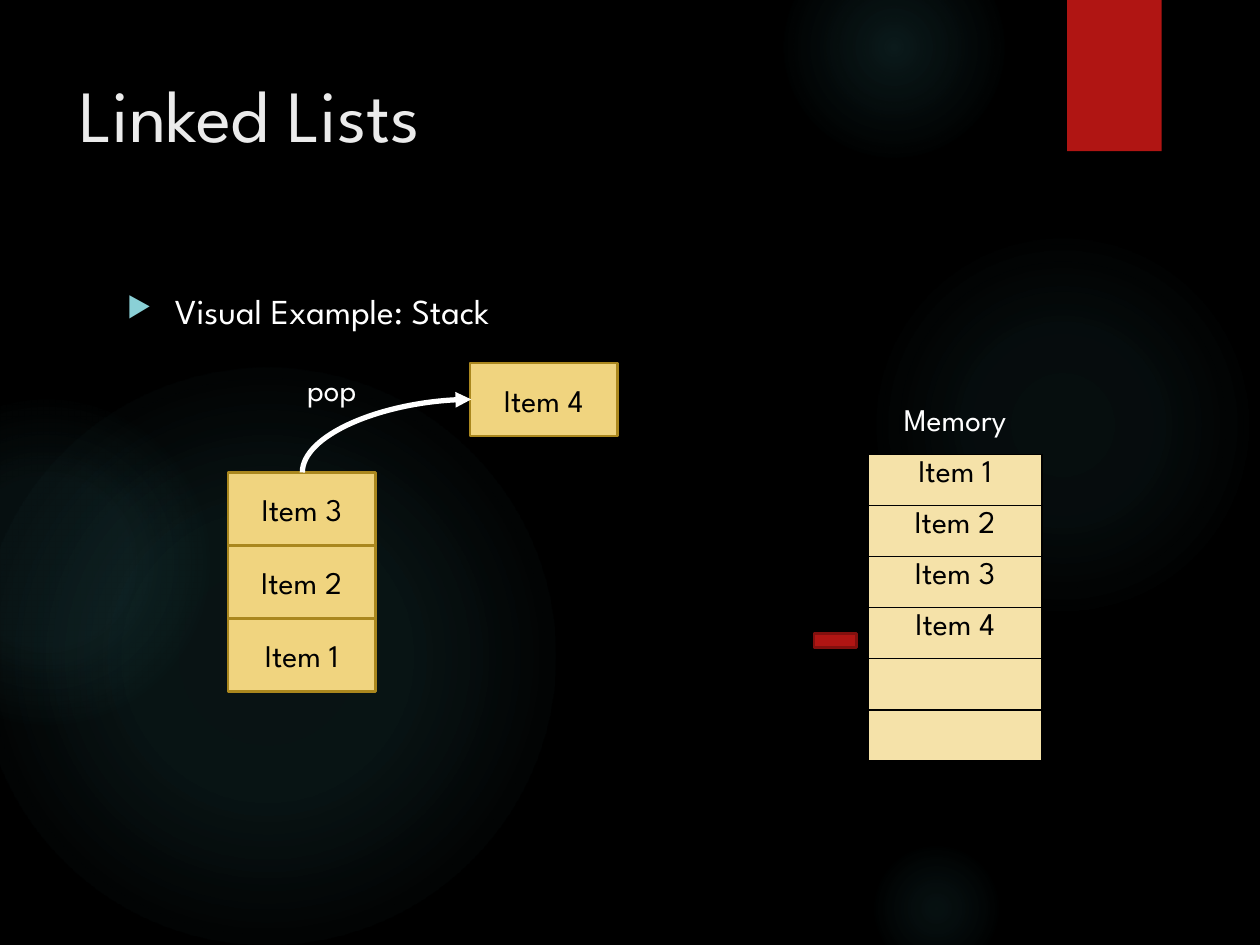
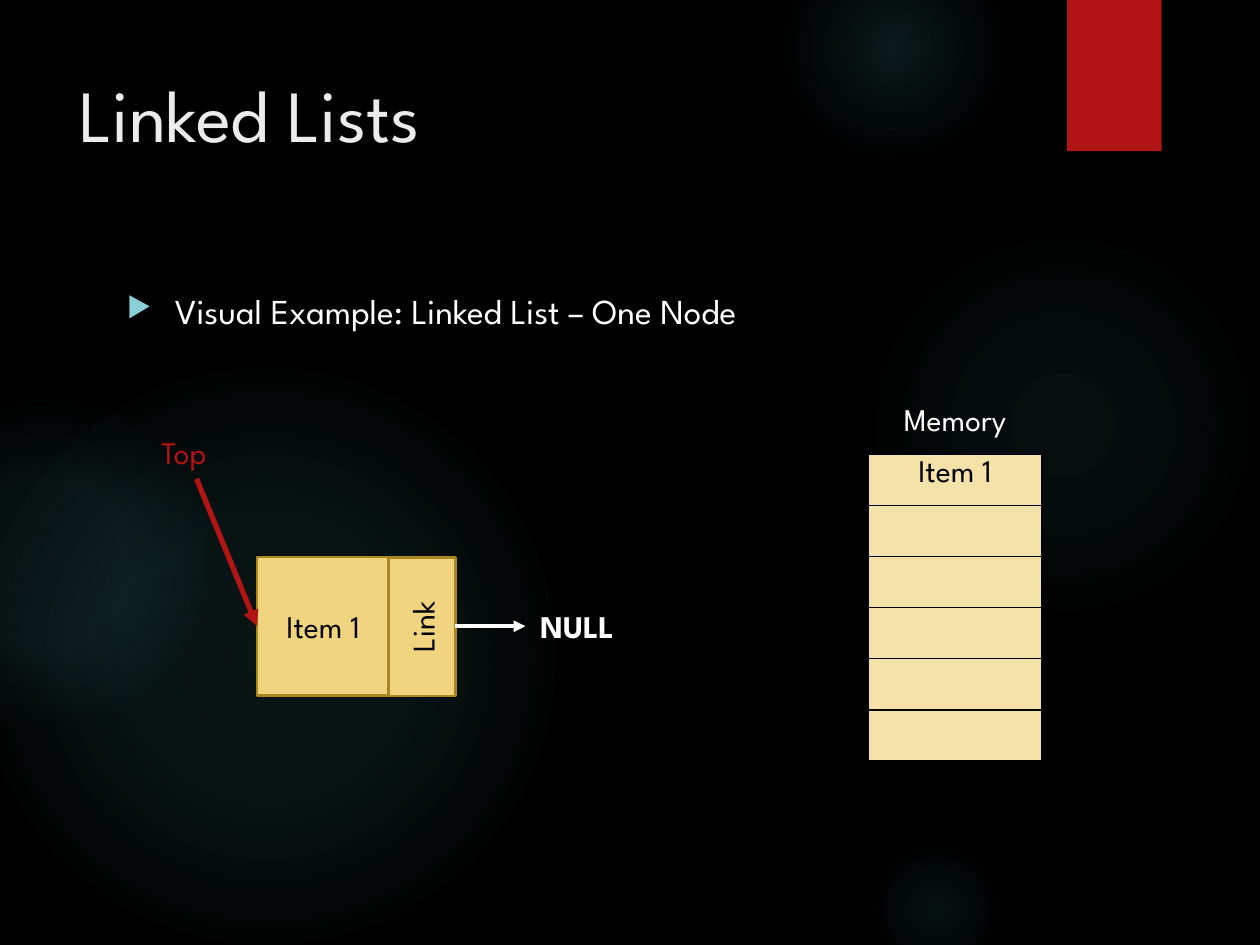
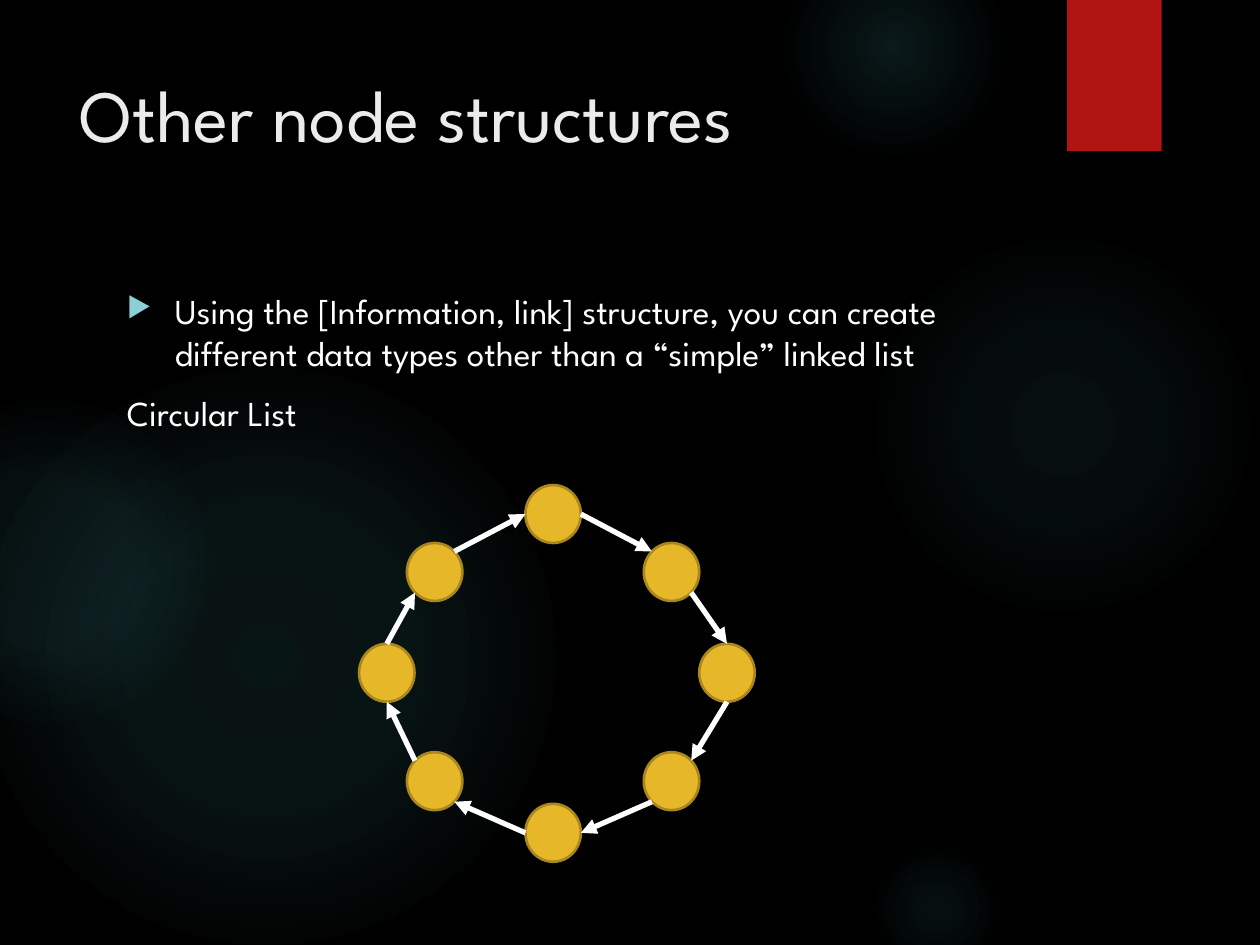
from lxml import etree
from pptx import Presentation
from pptx.dml.color import RGBColor
from pptx.enum.shapes import MSO_CONNECTOR as CXN, MSO_SHAPE as SHAPE
from pptx.enum.text import MSO_ANCHOR as ANCHOR, MSO_AUTO_SIZE as FIT, PP_ALIGN as ALIGN
from pptx.oxml import parse_xml
from pptx.oxml.ns import nsdecls, qn
from pptx.util import Inches, Pt

FONT = "League Spartan"
BLACK, WHITE, TITLE = "000000", "FFFFFF", "EBEBEB"
RED, DARK_RED = "B01513", "82100E"
GOLD, PALE, CREAM, BROWN = "E6B729", "F0D47F", "F5E2A9", "AA871E"
GLOW, BULLET = "50B9C1", "8AD0D6"
NO_STYLE = "{2D5ABB26-0587-4C30-8999-92F81FD0307C}"

GLOWS = [
    (6.89, 1.83, 3.08, [(0, 7), (36, 6), (69, 0)]),
    (6.22, -0.5, 1.75, [(0, 14), (36, 7), (73, 0)]),
    (6.89, 6.67, 1.08, [(0, 9), (36, 5), (66, 0)]),
    (-0.17, 2.92, 4.58, [(0, 11), (36, 10), (75, 0)]),
    (-0.92, 3.17, 2.58, [(0, 8), (36, 8), (72, 0)]),
]
STACK_SLIDE = ("Linked Lists", ["Visual Example: Stack"])
NODE_SLIDE = ("Linked Lists", ["Visual Example: Linked List – One Node"])
RING_SLIDE = ("Other node structures", [
    "Using the [Information, link] structure, you can create different data types "
    "other than a “simple” linked list",
    "Circular List",
])
STACK = ["Item 3", "Item 2", "Item 1"]
STACK_MEMORY = ["Item 1", "Item 2", "Item 3", "Item 4"]
NODE_MEMORY = ["Item 1"]
MEMORY_ROWS = 6

DIAG = 0.71
COMPASS = {
    "N": (0, -1), "NE": (DIAG, -DIAG), "E": (1, 0), "SE": (DIAG, DIAG),
    "S": (0, 1), "SW": (-DIAG, DIAG), "W": (-1, 0), "NW": (-DIAG, -DIAG),
}
NODE_W, NODE_H = 0.44, 0.46
RING = [(4.17, 3.85), (5.11, 4.31), (5.55, 5.11), (5.11, 5.97),
        (4.17, 6.38), (3.23, 5.97), (2.85, 5.11), (3.23, 4.31)]
RING_LINKS = [("E", "NW"), ("SE", "N"), ("S", "NE"), ("SW", "E"),
              ("W", "SE"), ("NW", "S"), ("N", "SW"), ("NE", "W")]


def rgb(color):
    return RGBColor.from_string(color)


def style(p, size, color, bold=None, align=None):
    p.alignment = align
    for r in p.runs:
        r.font.name, r.font.size, r.font.bold = FONT, Pt(size), bold
        r.font.color.rgb = rgb(color)


def add_box(shapes, kind, x, y, w, h, fill, line=None, text=""):
    sp = shapes.add_shape(kind, *map(Inches, (x, y, w, h)))
    sp.shadow.inherit = False
    sp.fill.solid()
    sp.fill.fore_color.rgb = rgb(fill)
    if line:
        sp.line.color.rgb = rgb(line)
        sp.line.width = Pt(1.5)
    else:
        sp.line.fill.background()
    if text:
        tf = sp.text_frame
        tf.text = text
        tf.vertical_anchor = ANCHOR.MIDDLE
        style(tf.paragraphs[0], 18, BLACK, align=ALIGN.CENTER)
    return sp


def add_item(shapes, x, y, w, h, text):
    return add_box(shapes, SHAPE.RECTANGLE, x, y, w, h, PALE, BROWN, text)


def add_label(s, x, y, w, text, color=WHITE, bold=None):
    tf = s.shapes.add_textbox(*map(Inches, (x, y, w, 0.4))).text_frame
    tf.word_wrap = True
    tf.text = text
    style(tf.paragraphs[0], 18, color, bold)


def add_arrow(s, start, end, color=WHITE, width=3, kind=CXN.STRAIGHT):
    cxn = s.shapes.add_connector(kind, *map(Inches, (*start, *end)))
    cxn.line.color.rgb = rgb(color)
    cxn.line.width = Pt(width)
    spPr = cxn._element.spPr
    etree.SubElement(spPr.find(qn("a:ln")), qn("a:tailEnd"), type="triangle")
    etree.SubElement(spPr, qn("a:effectLst"))
    return cxn


def add_glow(shapes, x, y, size, stops):
    sp = add_box(shapes, SHAPE.OVAL, x, y, size, size, GLOW)
    gs = "".join(
        f'<a:gs pos="{pos * 1000}"><a:srgbClr val="{GLOW}">'
        f'<a:alpha val="{alpha * 1000}"/></a:srgbClr></a:gs>' for pos, alpha in stops)
    grad = parse_xml(
        f'<a:gradFill {nsdecls("a")} rotWithShape="1"><a:gsLst>{gs}</a:gsLst>'
        '<a:path path="circle"><a:fillToRect l="50000" t="50000" r="50000" b="50000"/>'
        '</a:path></a:gradFill>')
    spPr = sp._element.spPr
    spPr.replace(spPr.find(qn("a:solidFill")), grad)
    return sp


def decorate(layout, s):
    decor = [add_glow(s.shapes, *glow) for glow in GLOWS]
    decor.append(add_box(s.shapes, SHAPE.RECTANGLE, 8.47, 0, 0.75, 1.2, RED))
    for i, sp in enumerate(decor):
        sp._element.nvSpPr.cNvPr.set("id", str(100 + i))
        layout.shapes._spTree.insert(2 + i, sp._element)


def add_bullet(p):
    pPr = p._p.get_or_add_pPr()
    pPr.set("marL", str(Inches(0.38)))
    pPr.set("indent", str(-Inches(0.38)))
    color = etree.SubElement(pPr, qn("a:buClr"))
    etree.SubElement(color, qn("a:srgbClr"), val=BULLET)
    etree.SubElement(pPr, qn("a:buSzPct"), val="80000")
    etree.SubElement(pPr, qn("a:buChar"), char="▶")


def fill_slide(s, title, lines):
    sp = s.shapes.title
    sp.left, sp.top, sp.width, sp.height = map(Inches, (0.53, 0.5, 7.72, 1.53))
    tf = sp.text_frame
    tf.text = title
    tf.vertical_anchor, tf.auto_size = ANCHOR.TOP, FIT.NONE
    style(tf.paragraphs[0], 42, TITLE, align=ALIGN.LEFT)

    tf = s.shapes.add_textbox(*map(Inches, (0.91, 2.25, 7.34, 4.59))).text_frame
    tf.word_wrap = True
    tf.text = "\n".join(lines)
    for p in tf.paragraphs:
        style(p, 20, WHITE)
        p.space_before = Pt(10)
    add_bullet(tf.paragraphs[0])


def add_borders(cell):
    tcPr = cell._tc.get_or_add_tcPr()
    for side in "LRTB":
        tcPr.append(parse_xml(
            f'<a:ln{side} {nsdecls("a")} w="12700"><a:solidFill>'
            f'<a:srgbClr val="{BLACK}"/></a:solidFill></a:ln{side}>'))


def add_memory(s, items):
    table = s.shapes.add_table(
        MEMORY_ROWS + 1, 3, *map(Inches, (5.97, 3.2, 3.18, 2.84))).table
    table.first_row = table.horz_banding = False
    table._tbl.tblPr.find(qn("a:tableStyleId")).text = NO_STYLE
    for col, width in zip(table.columns, (0.92, 1.38, 0.88)):
        col.width = Inches(width)
    for cell in table.iter_cells():
        cell.fill.background()
    for i in range(MEMORY_ROWS + 1):
        cell = table.cell(i, 1)
        if i:
            cell._tc.tcPr.clear()
            add_borders(cell)
            cell.fill.solid()
            cell.fill.fore_color.rgb = rgb(CREAM)
        if i <= len(items):
            cell.text = items[i - 1] if i else "Memory"
            style(cell.text_frame.paragraphs[0], 18, BLACK if i else WHITE,
                  align=ALIGN.CENTER)


def draw_stack(s):
    w, h = 1.17, 0.58
    for i, text in enumerate(STACK):
        add_item(s.shapes, 1.81, 3.75 + i * h, w, h, text)
    add_memory(s, STACK_MEMORY)
    add_item(s.shapes, 3.73, 2.88, w, h, "Item 4")
    pop = add_arrow(s, (3.36, 4.13), (2.78, 2.79), kind=CXN.CURVE)
    spPr = pop._element.spPr
    spPr.find(qn("a:xfrm")).set("rot", str(90 * 60000))
    spPr.find(qn("a:prstGeom")).set("prst", "curvedConnector2")
    add_label(s, 2.34, 2.89, 1.23, "pop")
    add_box(s.shapes, SHAPE.RECTANGLE, 6.46, 5.03, 0.34, 0.11, RED, DARK_RED)


def draw_node(s):
    add_memory(s, NODE_MEMORY)
    node = s.shapes.add_group_shape().shapes
    add_item(node, 2.04, 4.42, 1.05, 1.1, "Item 1")
    add_item(node, 2.8, 4.71, 1.1, 0.53, "Link").rotation = 270
    add_arrow(s, (3.61, 4.97), (4.17, 4.97), width=2.25)
    add_label(s, 4.19, 4.77, 1.05, "NULL", bold=True)
    add_arrow(s, (1.56, 3.8), (2.04, 4.97), RED)
    add_label(s, 1.18, 3.39, 0.76, "Top", RED)


def rim(node, side):
    (x, y), (dx, dy) = node, COMPASS[side]
    return x + NODE_W / 2 * (1 + dx), y + NODE_H / 2 * (1 + dy)


def draw_ring(s):
    for x, y in RING:
        add_box(s.shapes, SHAPE.OVAL, x, y, NODE_W, NODE_H, GOLD, BROWN)
    for node, after, (leave, enter) in zip(RING, RING[1:] + RING[:1], RING_LINKS):
        add_arrow(s, rim(node, leave), rim(after, enter))


def main():
    prs = Presentation()
    prs.slide_width, prs.slide_height = Inches(10), Inches(7.5)
    fill = prs.slide_master.background.fill
    fill.solid()
    fill.fore_color.rgb = rgb(BLACK)
    layout = prs.slide_layouts[5]
    slides = [prs.slides.add_slide(layout) for _ in range(3)]
    decorate(layout, slides[0])
    contents = (STACK_SLIDE, NODE_SLIDE, RING_SLIDE)
    for s, content, draw in zip(slides, contents, (draw_stack, draw_node, draw_ring)):
        fill_slide(s, *content)
        draw(s)
    prs.save("out.pptx")


if __name__ == "__main__":
    main()
